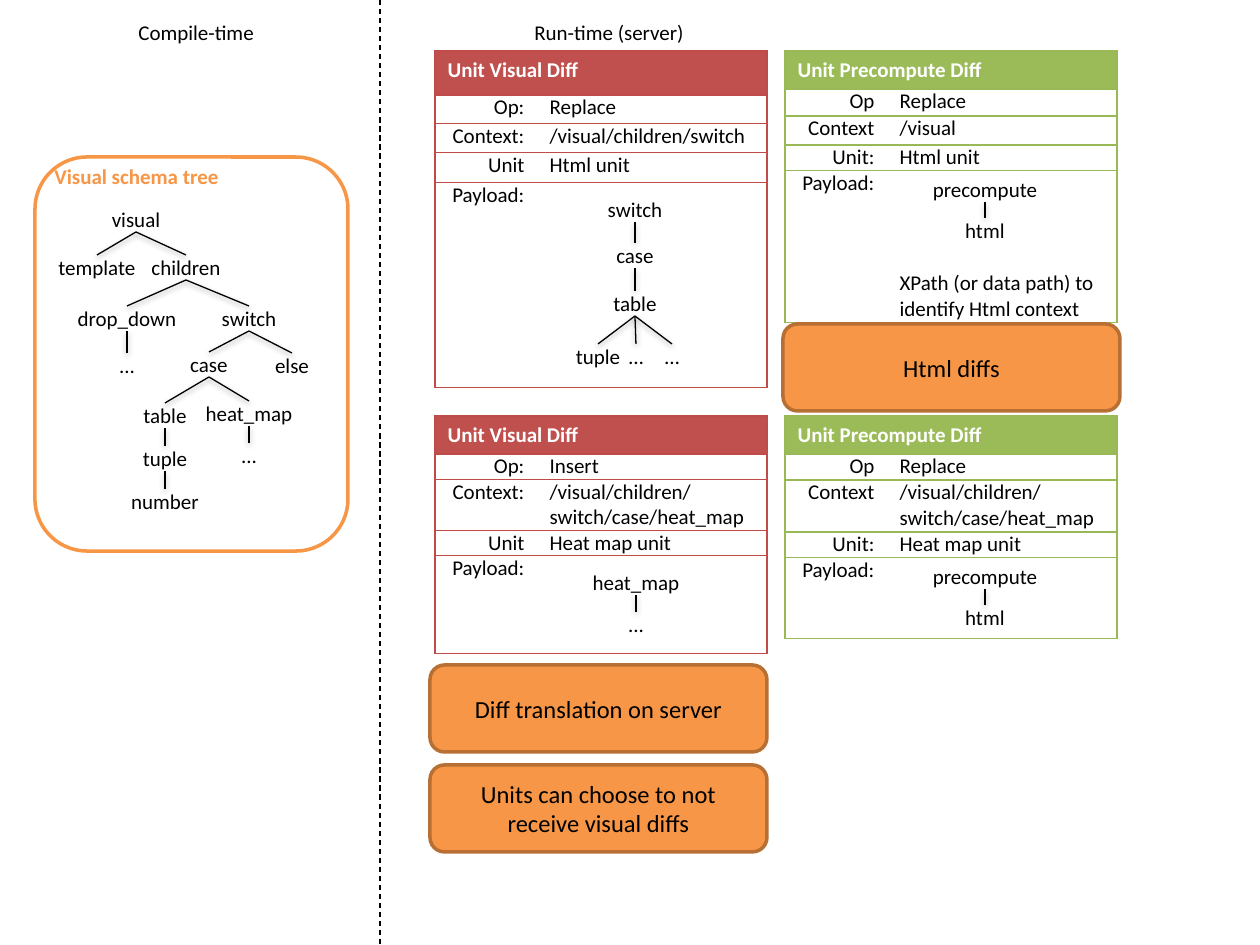
import pptx
import pptx.util
import pptx.dml.color
import pptx.oxml
import pptx.oxml.ns
import pptx.enum.dml
import pptx.enum.shapes
import pptx.enum.text

ALIGN = pptx.enum.text.PP_ALIGN
ANCHOR = pptx.enum.text.MSO_ANCHOR
SHAPE = pptx.enum.shapes.MSO_SHAPE

THEME = {
    "font": "Calibri", "body": 12, "callout": 14, "thin": 0.75, "thick": 2,
    "black": "000000", "white": "FFFFFF", "orange": "F79646", "brown": "B76F34",
    "red": {"head": "C0504D", "border": "BF4C48"},
    "green": {"head": "9BBB59", "border": "98B955"},
}

# Content: lengths in px, 126 to the inch
PAGE_SIZE = (1260, 945)
DIVIDER_X = 380
COLUMNS = (102, 230)
HEADINGS = [("Compile-time", 126, 13, 142), ("Run-time (server)", 522, 13, 176)]
SCHEMA_FRAME = (35, 157, 313, 394)
SCHEMA_TITLE = ("Visual schema tree", 42, 157, 192)

# Diff tables: colour, left, top, title, row heights, rows
DIFFS = [
    ("red", 435, 51, "Unit Visual Diff", (44, 29, 29, 30, 205),
     [("Op:", "Replace"), ("Context:", "/visual/children/switch"),
      ("Unit", "Html unit"), ("Payload:", "")]),
    ("red", 435, 416, "Unit Visual Diff", (38, 25, 51, 25, 98),
     [("Op:", "Insert"), ("Context:", "/visual/children/switch/case/heat_map"),
      ("Unit", "Heat map unit"), ("Payload:", "")]),
    ("green", 785, 51, "Unit Precompute Diff", (38, 27, 29, 25, 152),
     [("Op", "Replace"), ("Context", "/visual"), ("Unit:", "Html unit"),
      ("Payload:", "XPath (or data path) to identify Html context")]),
    ("green", 785, 416, "Unit Precompute Diff", (38, 26, 52, 25, 81),
     [("Op", "Replace"), ("Context", "/visual/children/switch/case/heat_map"),
      ("Unit:", "Heat map unit"), ("Payload:", "")]),
]

# Trees: text, centre, top, width, children
TREES = [
    ("visual", 136, 207, 49, [
        ("template", 97, 255, 78, []),
        ("children", 186, 255, 70, [
            ("drop_down", 127, 306, 100, [("...", 127, 353, 16, [])]),
            ("switch", 249, 306, 56, [
                ("case", 209, 352, 40, [
                    ("table", 165, 403, 44, [
                        ("tuple", 165, 446, 46, [("number", 165, 489, 68, [])])]),
                    ("heat_map", 249, 401, 88, [("...", 249, 443, 16, [])])]),
                ("else", 292, 353, 34, [])])])]),
    ("switch", 635, 197, 56, [
        ("case", 635, 243, 40, [
            ("table", 635, 291, 44, [
                ("tuple", 598, 344, 46, []),
                ("…", 636, 344, 16, []),
                ("…", 672, 344, 16, [])])])]),
    ("heat_map", 636, 570, 88, [("...", 636, 612, 16, [])]),
    ("precompute", 985, 177, 106, [("html", 985, 218, 40, [])]),
    ("precompute", 985, 564, 106, [("html", 985, 605, 40, [])]),
]
NODE_HEIGHT = 25

CALLOUT_SIZE = (337, 87)
CALLOUTS = [("Units can choose to not receive visual diffs", 430, 765),
            ("Diff translation on server", 430, 665),
            ("Html diffs", 783, 324)]


def px(count):
    return pptx.util.Emu(round(count * 914400 / 126))


def rgb(code):
    return pptx.dml.color.RGBColor.from_string(code)


def write(frame, text, color=THEME["black"], size=THEME["body"], bold=False, align=ALIGN.LEFT):
    para = frame.paragraphs[0]
    para.alignment = align
    if text:
        span = para.add_run()
        span.text = text
        span.font.name = THEME["font"]
        span.font.size = pptx.util.Pt(size)
        span.font.bold = bold
        span.font.color.rgb = rgb(color)


def set_line(shape, color, width):
    shape.line.color.rgb = rgb(color)
    shape.line.width = pptx.util.Pt(width)


def add_label(page, text, left, top, width, height=38, tight=False, **style):
    box = page.shapes.add_textbox(px(left), px(top), px(width), px(height))
    frame = box.text_frame
    frame.word_wrap = False
    if tight:
        frame.margin_left = frame.margin_right = frame.margin_top = frame.margin_bottom = 0
    write(frame, text, **style)
    return box


def add_line(page, start, end, shadow=False):
    line = page.shapes.add_connector(
        pptx.enum.shapes.MSO_CONNECTOR.STRAIGHT, *(px(value) for value in start + end))
    set_line(line, THEME["black"], THEME["thin"])
    soft = ('<a:outerShdw blurRad="40000" dist="20000" dir="5400000" rotWithShape="0">'
            '<a:srgbClr val="000000"><a:alpha val="38000"/></a:srgbClr></a:outerShdw>')
    line._element.spPr.append(pptx.oxml.parse_xml(
        f'<a:effectLst {pptx.oxml.ns.nsdecls("a")}>{soft if shadow else ""}</a:effectLst>'))
    return line


def add_tree(page, node):
    text, center, top, width, children = node
    box = add_label(page, text, center - width / 2, top, width, NODE_HEIGHT,
                    tight=True, align=ALIGN.CENTER)
    for child in children:
        child_box = add_tree(page, child)
        line = add_line(page, (center, top + NODE_HEIGHT), (child[1], child[2]), shadow=True)
        line.begin_connect(box, 2)
        line.end_connect(child_box, 0)
    return box


def add_rounded(page, left, top, width, height, line_color, fill=None):
    shape = page.shapes.add_shape(
        SHAPE.ROUNDED_RECTANGLE, px(left), px(top), px(width), px(height))
    shape.shadow.inherit = False
    set_line(shape, line_color, THEME["thick"])
    if fill:
        shape.fill.solid()
        shape.fill.fore_color.rgb = rgb(fill)
    else:
        shape.fill.background()
    return shape


def set_borders(cell, color, sides):
    properties = cell._tc.get_or_add_tcPr()
    width = pptx.util.Pt(THEME["thin"])
    for side in "LRTB":
        paint = (f'<a:solidFill><a:srgbClr val="{color}"/></a:solidFill>'
                 if side in sides else "<a:noFill/>")
        properties.append(pptx.oxml.parse_xml(
            f'<a:ln{side} {pptx.oxml.ns.nsdecls("a")} w="{width}">{paint}</a:ln{side}>'))


def add_diff(page, palette, left, top, title, heights, rows):
    table = page.shapes.add_table(len(heights), len(COLUMNS), px(left), px(top),
                                  px(sum(COLUMNS)), px(sum(heights))).table
    table.first_row = table.horz_banding = False
    for column, width in zip(table.columns, COLUMNS):
        column.width = px(width)
    for row, height in zip(table.rows, heights):
        row.height = px(height)
    # Header across both columns
    header = table.cell(0, 0)
    header.merge(table.cell(0, 1))
    for cell in table.rows[0].cells:
        set_borders(cell, palette["border"], "LRTB")
        cell.fill.solid()
        cell.fill.fore_color.rgb = rgb(palette["head"])
    write(header.text_frame, title, color=THEME["white"], bold=True)
    # Label and value rows
    for index, texts in enumerate(rows, 1):
        for cell, text, side, align in zip(table.rows[index].cells, texts, "LR",
                                           (ALIGN.RIGHT, ALIGN.LEFT)):
            set_borders(cell, palette["border"], side + "TB")
            cell.fill.background()
            cell.margin_top = cell.margin_bottom = 0
            write(cell.text_frame, text, align=align)
    # A payload note sits under its tree
    table.cell(len(rows), 1).vertical_anchor = ANCHOR.BOTTOM


def main():
    deck = pptx.Presentation()
    deck.slide_width, deck.slide_height = (px(side) for side in PAGE_SIZE)
    page = deck.slides.add_slide(deck.slide_layouts[6])

    # Headings and divider
    divider = add_line(page, (DIVIDER_X, 0), (DIVIDER_X, PAGE_SIZE[1]))
    divider.line.dash_style = pptx.enum.dml.MSO_LINE.DASH
    for heading in HEADINGS:
        add_label(page, *heading)

    # Schema frame, diff tables and the trees over them
    add_rounded(page, *SCHEMA_FRAME, THEME["orange"])
    add_label(page, *SCHEMA_TITLE, color=THEME["orange"], bold=True)
    for color, *diff in DIFFS:
        add_diff(page, THEME[color], *diff)
    for tree in TREES:
        add_tree(page, tree)

    # Callouts
    for text, left, top in CALLOUTS:
        callout = add_rounded(page, left, top, *CALLOUT_SIZE, THEME["brown"], THEME["orange"])
        frame = callout.text_frame
        frame.word_wrap = True
        frame.vertical_anchor = ANCHOR.MIDDLE
        write(frame, text, size=THEME["callout"], align=ALIGN.CENTER)

    deck.save("out.pptx")


if __name__ == "__main__":
    main()
